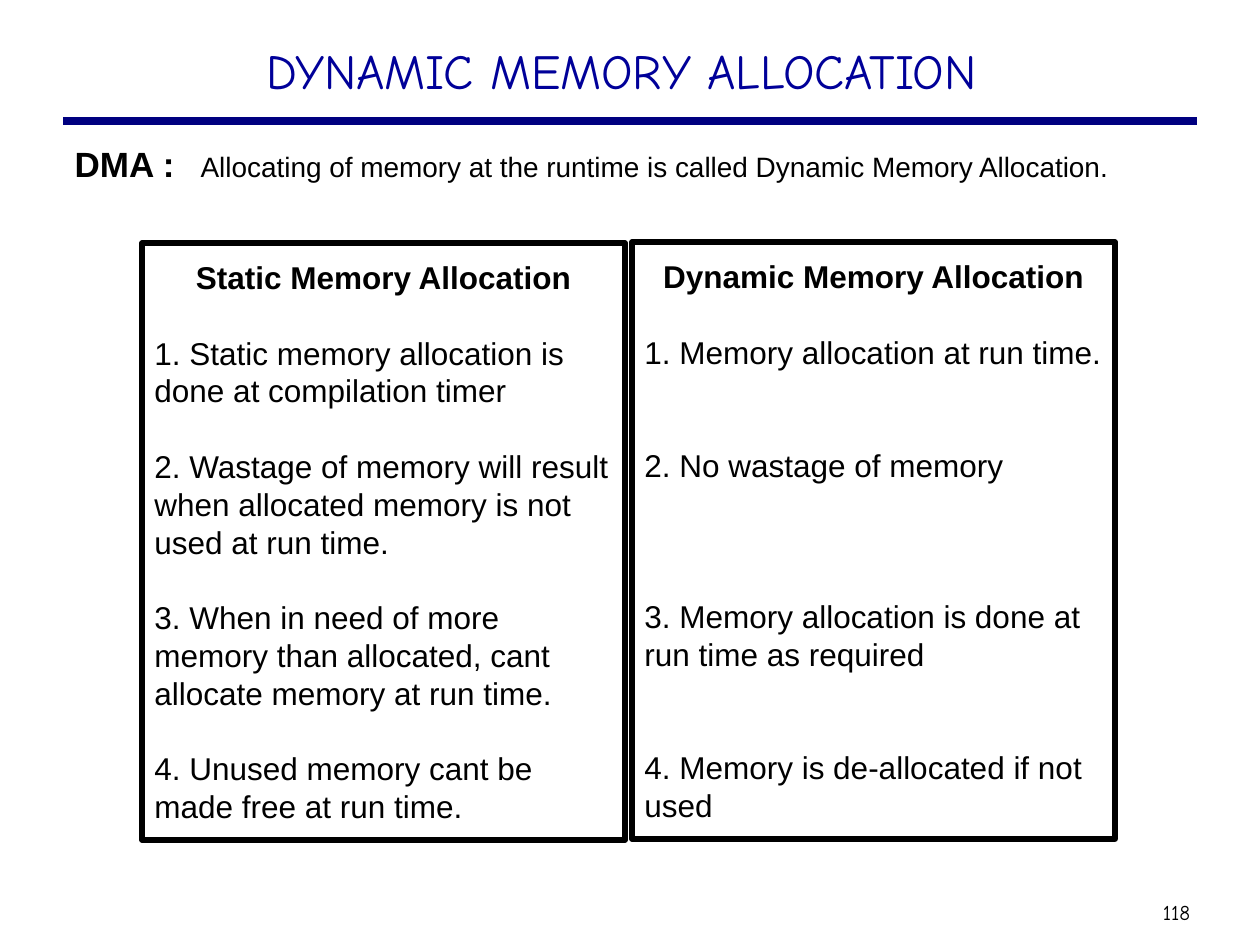
import pptx
import pptx.dml.color
import pptx.enum.shapes
import pptx.enum.text
import pptx.oxml
import pptx.util
from lxml import etree

# Content: each column entry is (blank lines before, text)
TITLE = "DYNAMIC MEMORY ALLOCATION "
TERM = "DMA :\t"
DEFINITION = "Allocating of memory at the runtime is called Dynamic Memory Allocation."
PAGE_NUMBER = "118"
COLUMNS = [
    ("Static Memory Allocation", [
        (1, "1. Static memory allocation is"),
        (0, "done at compilation timer"),
        (1, "2. Wastage of memory will result when allocated memory is not used at run time."),
        (1, "3. When in need of more memory than allocated, cant allocate memory at run time."),
        (1, "4. Unused memory cant be made free at run time."),
    ]),
    ("Dynamic Memory Allocation", [
        (1, "1. Memory allocation at run time."),
        (2, "2. No wastage of memory"),
        (3, "3. Memory allocation is done at run time as required"),
        (2, "4. Memory is de-allocated if not used"),
    ]),
]

COLORS = {"title": "000099", "rule": "000080", "text": "000000"}
BODY_FONT, TITLE_FONT = "Arial", "Comic Neue"
LINE_PITCH = 21.6  # points
COLUMN_LEFT, COLUMN_TOP, COLUMN_STEP = 142, 243, 490
COLUMN_SIZE = (483, 597)

ALIGN = pptx.enum.text.PP_ALIGN
ANCHOR = pptx.enum.text.MSO_ANCHOR


def px(value):
    return pptx.util.Emu(round(value * 914400 / 126))


def color(name):
    return pptx.dml.color.RGBColor.from_string(COLORS[name])


def place(shape, left, top, width, height):
    shape.left, shape.top = px(left), px(top)
    shape.width, shape.height = px(width), px(height)


def style(font, size, name=BODY_FONT, color_name="text", bold=False):
    font.size, font.name, font.bold = pptx.util.Pt(size), name, bold
    font.color.rgb = color(color_name)


def prepare(frame, anchor):
    frame.word_wrap = True
    frame.auto_size = pptx.enum.text.MSO_AUTO_SIZE.NONE
    frame.vertical_anchor = anchor


def add_column(slide, index, heading, points):
    box = slide.shapes.add_shape(
        pptx.enum.shapes.MSO_SHAPE.RECTANGLE,
        px(COLUMN_LEFT + index * COLUMN_STEP), px(COLUMN_TOP - index),
        *map(px, COLUMN_SIZE))
    box.shadow.inherit = False
    box.fill.background()
    box.line.color.rgb = color("text")
    box.line.width = pptx.util.Pt(3)
    frame = box.text_frame
    prepare(frame, ANCHOR.MIDDLE)
    frame.text = "\n".join([heading] + [text for _, text in points])
    gaps = [0] + [gap for gap, _ in points]
    for number, (paragraph, gap) in enumerate(zip(frame.paragraphs, gaps)):
        paragraph.alignment = ALIGN.LEFT if number else ALIGN.CENTER
        paragraph.line_spacing = pptx.util.Pt(LINE_PITCH)
        paragraph.space_before = pptx.util.Pt(gap * LINE_PITCH)
        style(paragraph.runs[0].font, 18, bold=number == 0)


presentation = pptx.Presentation()
presentation.slide_width = px(1260)
presentation.slide_height = px(945)
slide = presentation.slides.add_slide(presentation.slide_layouts[1])

# Title and the rule below it
title = slide.shapes.title
place(title, 94, 29, 1071, 82)
prepare(title.text_frame, ANCHOR.MIDDLE)
title.text_frame.text = TITLE
title.text_frame.paragraphs[0].alignment = ALIGN.CENTER
style(title.text_frame.paragraphs[0].runs[0].font, 28, TITLE_FONT, "title")

rule = slide.shapes.add_connector(
    pptx.enum.shapes.MSO_CONNECTOR.STRAIGHT, px(63), px(121), px(1197), px(121))
rule.line.color.rgb = color("rule")
rule.line.width = pptx.util.Pt(4.5)
etree.SubElement(rule.element.spPr, pptx.oxml.ns.qn("a:effectLst"))

# Definition, with the term and its meaning parted by a tab
body = slide.placeholders[1]
place(body, 62, 136, 1133, 761)
prepare(body.text_frame, ANCHOR.TOP)
paragraph = body.text_frame.paragraphs[0]
properties = paragraph._p.get_or_add_pPr()
properties.set("marL", "0")
properties.set("indent", "0")
etree.SubElement(properties, pptx.oxml.ns.qn("a:buNone"))
tabs = etree.SubElement(properties, pptx.oxml.ns.qn("a:tabLst"))
etree.SubElement(tabs, pptx.oxml.ns.qn("a:tab"), pos=str(px(126)), algn="l")
paragraph.alignment = ALIGN.JUSTIFY
paragraph.space_before = pptx.util.Pt(0)
for text, size, bold in [(TERM, 20, True), (DEFINITION, 16, False)]:
    run = paragraph.add_run()
    run.text = text
    style(run.font, size, bold=bold)

# Comparison columns
for index, (heading, points) in enumerate(COLUMNS):
    add_column(slide, index, heading, points)

# Page number
number_box = slide.shapes.add_textbox(px(1147), px(893), px(59), px(38))
frame = number_box.text_frame
prepare(frame, ANCHOR.MIDDLE)
frame.margin_left = frame.margin_right = pptx.util.Inches(0.05)
frame.text = PAGE_NUMBER
frame.paragraphs[0].alignment = ALIGN.CENTER
style(frame.paragraphs[0].runs[0].font, 12, TITLE_FONT)

presentation.save("out.pptx")
